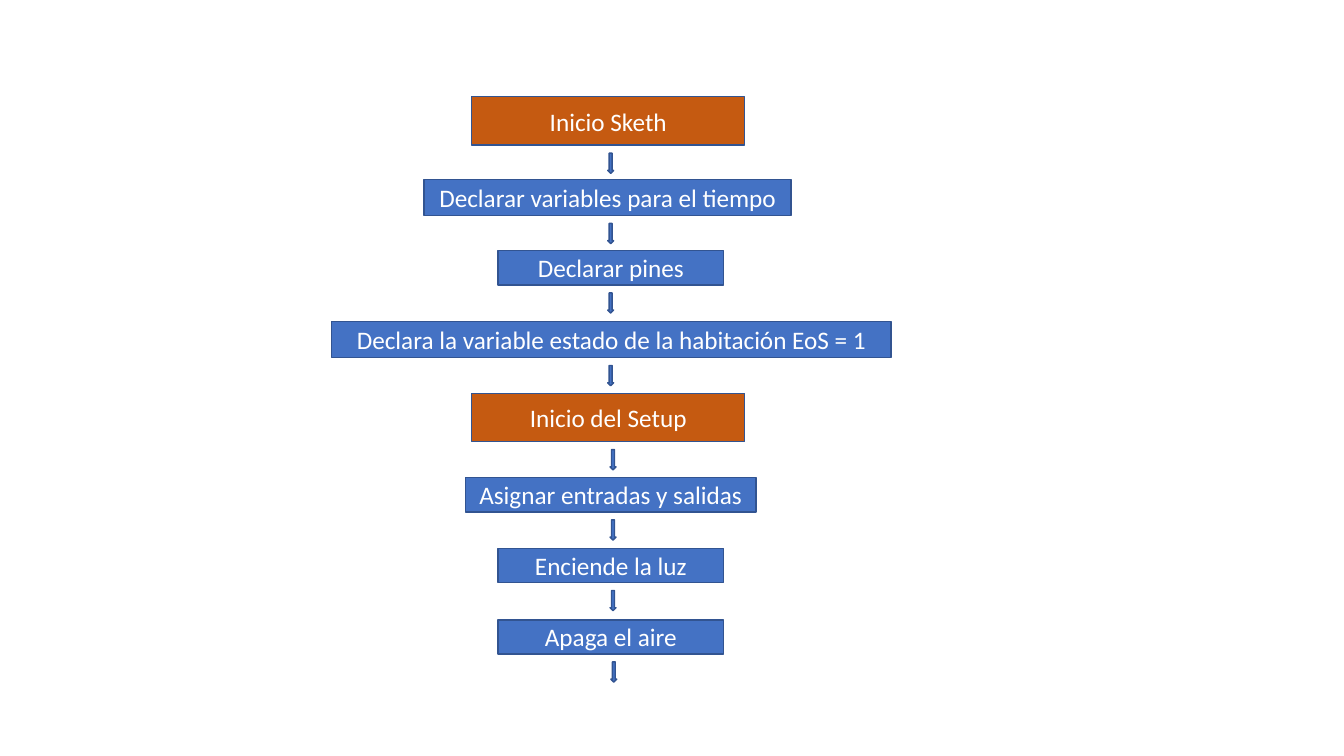
from pptx import Presentation
from pptx.dml.color import RGBColor
from pptx.enum.shapes import MSO_SHAPE as SHAPE
from pptx.enum.text import MSO_ANCHOR as ANCHOR, PP_ALIGN as ALIGN
from pptx.util import Cm, Pt

ORANGE, BLUE, EDGE, WHITE = "C55A11", "4472C4", "325491", "FFFFFF"
ARROW_W, ARROW_H, ARROW_GAP = 0.15, 0.51, 0.2

STEPS = [
    ("Inicio Sketh", ORANGE, 11.89, 2.44, 6.88, 1.22, 15.39),
    ("Declarar variables para el tiempo", BLUE, 10.69, 4.52, 9.25, 0.91, 15.39),
    ("Declarar pines", BLUE, 12.55, 6.32, 5.69, 0.86, 15.39),
    ("Declara la variable estado de la habitación EoS = 1", BLUE, 8.36, 8.1, 14.1, 0.91, 15.39),
    ("Inicio del Setup", ORANGE, 11.89, 9.91, 6.88, 1.22, 15.45),
    ("Asignar entradas y salidas", BLUE, 11.73, 12.04, 7.32, 0.86, 15.45),
    ("Enciende la luz", BLUE, 12.55, 13.82, 5.69, 0.86, 15.45),
    ("Apaga el aire", BLUE, 12.55, 15.62, 5.69, 0.86, 15.47),
]


def color(value):
    return RGBColor.from_string(value)


class FlowChart:
    """Draws the steps and arrows of a flow chart on one slide."""

    def __init__(self, slide, font="Calibri", size=18):
        self.slide, self.font, self.size = slide, font, size

    def shape(self, kind, x, y, w, h, fill):
        sp = self.slide.shapes.add_shape(kind, Cm(x), Cm(y), Cm(w), Cm(h))
        sp.shadow.inherit = False
        sp.fill.solid()
        sp.fill.fore_color.rgb = color(fill)
        sp.line.color.rgb = color(EDGE)
        sp.line.width = Pt(1)
        return sp

    def box(self, text, x, y, w, h, fill):
        tf = self.shape(SHAPE.RECTANGLE, x, y, w, h, fill).text_frame
        tf.word_wrap = True
        tf.vertical_anchor = ANCHOR.MIDDLE
        p = tf.paragraphs[0]
        p.alignment = ALIGN.CENTER
        r = p.add_run()
        r.text = text
        r.font.name = self.font
        r.font.size = Pt(self.size)
        r.font.color.rgb = color(WHITE)

    def arrow(self, center, y):
        self.shape(SHAPE.DOWN_ARROW, center - ARROW_W / 2, y, ARROW_W, ARROW_H, BLUE)


def main():
    prs = Presentation()
    prs.slide_width, prs.slide_height = Cm(33.87), Cm(19.05)
    chart = FlowChart(prs.slides.add_slide(prs.slide_layouts[6]))
    for text, fill, x, y, w, h, center in STEPS:
        chart.box(text, x, y, w, h, fill)
        chart.arrow(center, y + h + ARROW_GAP)
    prs.save("out.pptx")


if __name__ == "__main__":
    main()
